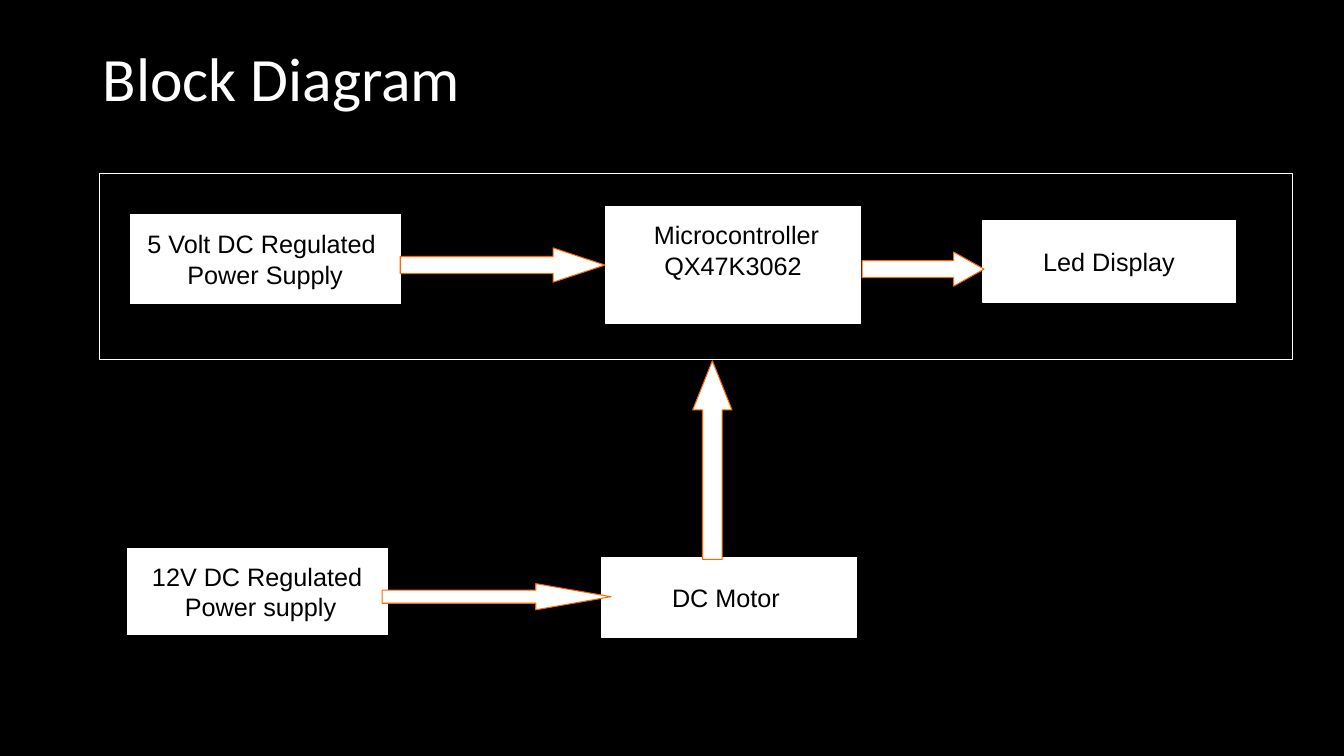
"""Build the block diagram slide of a motor controller."""
from dataclasses import dataclass

from pptx import Presentation
from pptx.dml.color import RGBColor
from pptx.enum.shapes import MSO_SHAPE as Shape
from pptx.enum.text import MSO_ANCHOR as Anchor, PP_ALIGN as Align
from pptx.shapes.autoshape import Shape as AutoShape
from pptx.slide import Slide
from pptx.util import Emu, Pt

PX = 9144
BLACK = RGBColor(0x00, 0x00, 0x00)
WHITE = RGBColor(0xFF, 0xFF, 0xFF)
ORANGE = RGBColor(0xFF, 0x66, 0x00)


@dataclass(frozen=True)
class Area:
    left: int
    top: int
    width: int
    height: int

    def emu(self) -> tuple[Emu, ...]:
        return tuple(Emu(px * PX) for px in (self.left, self.top, self.width, self.height))


@dataclass(frozen=True)
class Block:
    area: Area
    lines: tuple[str, ...]
    outline: RGBColor = WHITE
    bottom_inset: int = 5


@dataclass(frozen=True)
class Arrow:
    area: Area
    head: float
    kind: Shape = Shape.RIGHT_ARROW


TITLE = Area(92, 42, 798, 69)
CONTROL_UNIT = Area(99, 172, 1183, 185)
BLOCKS = (
    Block(Area(128, 212, 270, 90), ("5 Volt DC Regulated ", "Power Supply"), BLACK),
    Block(Area(601, 205, 252, 116), (" Microcontroller", "QX47K3062"), bottom_inset=35),
    Block(Area(975, 219, 250, 81), ("Led Display",)),
    Block(Area(126, 544, 258, 85), ("12V DC Regulated", " Power supply")),
    Block(Area(597, 553, 253, 79), ("DC Motor ",)),
)
ARROWS = (
    Arrow(Area(397, 246, 203, 34), 1.51),
    Arrow(Area(855, 250, 121, 34), 0.89),
    Arrow(Area(379, 579, 227, 26), 2.87),
    Arrow(Area(687, 358, 39, 197), 1.25, Shape.UP_ARROW),
)


def add_outlined(slide: Slide, kind: Shape, area: Area, outline: RGBColor) -> AutoShape:
    """Add a shadowless shape with a thin outline."""
    shape = slide.shapes.add_shape(kind, *area.emu())
    shape.shadow.inherit = False
    shape.line.color.rgb = outline
    shape.line.width = Pt(0.75)
    return shape


def fill_white(shape: AutoShape) -> None:
    """Fill a shape with solid white."""
    shape.fill.solid()
    shape.fill.fore_color.rgb = WHITE


def add_block(slide: Slide, block: Block) -> None:
    """Add a component with its centred label."""
    component = add_outlined(slide, Shape.FLOWCHART_PROCESS, block.area, block.outline)
    fill_white(component)
    label = component.text_frame
    label.word_wrap = False
    label.vertical_anchor = Anchor.MIDDLE
    label.margin_bottom = Emu(block.bottom_inset * PX)
    label.text = "\n".join(block.lines)
    for line in label.paragraphs:
        line.alignment = Align.CENTER
        line.font.name = "Arial"
        line.font.size = Pt(18)
        line.font.color.rgb = BLACK


def add_arrow(slide: Slide, arrow: Arrow) -> None:
    """Add a block arrow with its head length relative to its breadth."""
    signal = add_outlined(slide, arrow.kind, arrow.area, ORANGE)
    fill_white(signal)
    signal.adjustments[0] = 0.5
    signal.adjustments[1] = arrow.head


def add_title(slide: Slide) -> None:
    """Add the slide heading."""
    heading = slide.shapes.add_textbox(*TITLE.emu()).text_frame
    heading.word_wrap = True
    heading.vertical_anchor = Anchor.MIDDLE
    heading.text = "Block Diagram"
    font = heading.paragraphs[0].font
    font.name = "Calibri"
    font.size = Pt(44)
    font.color.rgb = WHITE


def main() -> None:
    """Build and save the presentation."""
    deck = Presentation()
    deck.slide_width = Emu(1333 * PX)
    deck.slide_height = Emu(750 * PX)
    slide = deck.slides.add_slide(deck.slide_layouts[6])
    slide.background.fill.solid()
    slide.background.fill.fore_color.rgb = BLACK
    add_title(slide)
    for block in BLOCKS:
        add_block(slide, block)
    for arrow in ARROWS:
        add_arrow(slide, arrow)
    add_outlined(slide, Shape.RECTANGLE, CONTROL_UNIT, WHITE).fill.background()
    deck.save("out.pptx")


if __name__ == "__main__":
    main()
